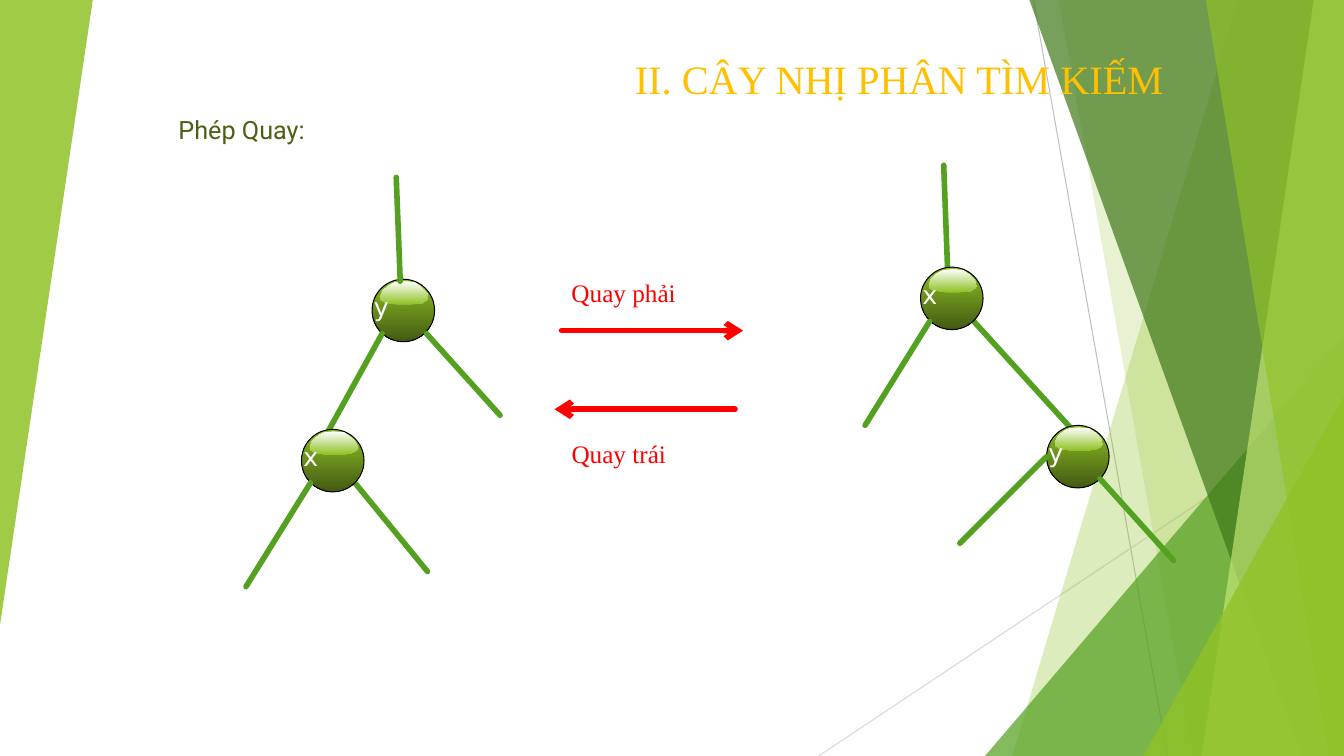
from dataclasses import dataclass

import lxml.etree
import pptx
import pptx.dml.color
import pptx.enum.shapes
import pptx.enum.text
import pptx.oxml.ns
import pptx.presentation
import pptx.shapes.autoshape
import pptx.shapes.base
import pptx.shapes.connector
import pptx.slide
import pptx.text.text
import pptx.util

Inches = pptx.util.Inches
Point = tuple[float, float]


@dataclass(frozen=True)
class Theme:
    lime: str = "90C226"
    green: str = "54A021"
    forest: str = "3F7819"
    pale: str = "C0E474"
    olive: str = "486113"
    sphere_dark: str = "435A12"
    gold: str = "FFC000"
    red: str = "FF0000"
    white: str = "FFFFFF"
    black: str = "000000"
    serif: str = "Times New Roman"
    sans: str = "Roboto"
    node_font: str = "DejaVu Sans"
    title_size: float = 28.8
    text_size: float = 18
    stroke: float = 4
    hairline: float = 0.75


THEME = Theme()
WIDTH, HEIGHT = 13.33, 7.5
NODE_SIZE = 0.62
GLOSS_OFFSET = (0.08, 0.02)
GLOSS = [(0.47, 0.13), (0.48, 0.17), (0.46, 0.19), (0.41, 0.22), (0.3, 0.23), (0.17, 0.23),
         (0.05, 0.21), (0, 0.18), (0, 0.16), (0.03, 0.09), (0.09, 0.04), (0.15, 0.01),
         (0.24, 0), (0.34, 0.01), (0.41, 0.06), (0.45, 0.1)]


@dataclass(frozen=True)
class Line:
    start: Point
    end: Point
    color: str = THEME.green
    width: float = THEME.stroke
    arrow: bool = False


@dataclass(frozen=True)
class Node:
    name: str
    left: float
    top: float


@dataclass(frozen=True)
class Band:
    """Facet with a slanted left edge that fills the slide to the right."""
    top_x: float
    bottom_x: float
    color: str
    opacity: int


@dataclass(frozen=True)
class Corner:
    left: float
    top: float
    width: float
    height: float
    color: str
    opacity: int
    rotation: int = 0


@dataclass(frozen=True)
class Label:
    text: str
    left: float
    top: float
    width: float
    height: float
    font: str = THEME.serif
    color: str = THEME.red


# Background facets, from back to front
BACKGROUND = [
    Line((10.25, 0), (11.58, HEIGHT), "BFBFBF", THEME.hairline),
    Line((WIDTH, 4.03), (8.12, HEIGHT), "D9D9D9", THEME.hairline),
    Band(12.28, 10.04, THEME.lime, 30),
    Band(10.5, 11.83, THEME.lime, 20),
    Corner(9.77, 3.33, 3.56, 4.17, THEME.green, 72),
    Band(10.21, 12.91, THEME.forest, 70),
    Band(13.03, 11.92, THEME.pale, 70),
    Band(11.96, 13.18, THEME.lime, 65),
    Corner(11.34, 3.93, 1.99, 3.57, THEME.lime, 80),
    Corner(0, 0, 0.92, 6.2, THEME.lime, 85, 180),
]

# Trees before and after rotation, and the arrows between them
DIAGRAM = [
    Line((9.66, 3.19), (10.65, 4.28)),
    Node("y", 10.38, 4.22),
    Line((10.91, 4.75), (11.64, 5.56)),
    Line((9.36, 1.64), (9.4, 2.72)),
    Line((10.38, 4.53), (9.52, 5.39)),
    Node("x", 9.13, 2.65),
    Line((9.22, 3.19), (8.58, 4.22)),
    Line((5.57, 3.28), (7.37, 3.28), THEME.red, arrow=True),
    Label("Quay trái", 5.57, 4.3, 1.72, 0.4),
    Line((7.29, 4.06), (5.5, 4.06), THEME.red, arrow=True),
    Node("y", 3.69, 2.77),
    Line((4.23, 3.31), (4.96, 4.12)),
    Line((3.79, 3.31), (3.26, 4.27)),
    Line((3.93, 1.76), (3.97, 2.79)),
    Line((3.52, 4.79), (4.24, 5.67)),
    Node("x", 2.99, 4.26),
    Line((3.08, 4.79), (2.44, 5.82)),
    Label("Quay phải", 5.57, 2.7, 2.34, 0.4),
]


def rgb(value: str) -> pptx.dml.color.RGBColor:
    return pptx.dml.color.RGBColor.from_string(value)


def add_child(parent: lxml.etree._Element, tag: str, **attributes: str) -> None:
    lxml.etree.SubElement(parent, pptx.oxml.ns.qn(tag), attributes)


def fill_solid(shape: pptx.shapes.autoshape.Shape, color: str, opacity: int) -> None:
    shape.shadow.inherit = False
    shape.line.fill.background()
    shape.fill.solid()
    shape.fill.fore_color.rgb = rgb(color)
    color_element = next(shape.element.spPr.iter(pptx.oxml.ns.qn("a:srgbClr")))
    add_child(color_element, "a:alpha", val=str(opacity * 1000))


def fill_gradient(shape: pptx.shapes.autoshape.Shape, top: str, bottom: str) -> None:
    shape.shadow.inherit = False
    shape.fill.gradient()
    shape.fill.gradient_angle = 270
    for stop, color in zip(shape.fill.gradient_stops, (top, bottom)):
        stop.color.rgb = rgb(color)


def add_outline(slide: pptx.slide.Slide, points: list[Point]) -> pptx.shapes.autoshape.Shape:
    corners = [(Inches(x), Inches(y)) for x, y in points]
    builder = slide.shapes.build_freeform(*corners[0])
    builder.add_line_segments(corners[1:], close=True)
    return builder.convert_to_shape()


def set_font(paragraph: pptx.text.text._Paragraph, name: str, size: float, color: str) -> None:
    paragraph.font.name = name
    paragraph.font.size = pptx.util.Pt(size)
    paragraph.font.color.rgb = rgb(color)


def draw_line(slide: pptx.slide.Slide, line: Line) -> None:
    ends = [Inches(value) for value in (*line.start, *line.end)]
    connector = slide.shapes.add_connector(pptx.enum.shapes.MSO_CONNECTOR.STRAIGHT, *ends)
    connector.line.color.rgb = rgb(line.color)
    connector.line.width = pptx.util.Pt(line.width)
    outline = connector.line._get_or_add_ln()
    if line.width == THEME.stroke:
        outline.set("cap", "rnd")
    if line.arrow:
        add_child(outline, "a:tailEnd", type="arrow")
    add_child(connector.element.spPr, "a:effectLst")


def draw_label(slide: pptx.slide.Slide, label: Label) -> None:
    bounds = [Inches(value) for value in (label.left, label.top, label.width, label.height)]
    frame = slide.shapes.add_textbox(*bounds).text_frame
    frame.word_wrap = True
    frame.auto_size = pptx.enum.text.MSO_AUTO_SIZE.SHAPE_TO_FIT_TEXT
    frame.text = label.text
    set_font(frame.paragraphs[0], label.font, THEME.text_size, label.color)


def draw_node(slide: pptx.slide.Slide, node: Node) -> None:
    sphere = slide.shapes.add_shape(
        pptx.enum.shapes.MSO_SHAPE.OVAL, Inches(node.left), Inches(node.top),
        Inches(NODE_SIZE), Inches(NODE_SIZE))
    fill_gradient(sphere, THEME.lime, THEME.sphere_dark)
    sphere.line.color.rgb = rgb(THEME.black)
    sphere.line.width = pptx.util.Pt(THEME.hairline)
    left, top = node.left + GLOSS_OFFSET[0], node.top + GLOSS_OFFSET[1]
    gloss = add_outline(slide, [(left + x, top + y) for x, y in GLOSS])
    fill_gradient(gloss, THEME.white, THEME.lime)
    gloss.line.fill.background()
    draw_label(slide, Label(node.name, node.left - 0.08, node.top + 0.07, 0.7, 0.44,
                            THEME.node_font, THEME.white))


def draw_band(slide: pptx.slide.Slide, band: Band) -> None:
    facet = add_outline(slide, [(band.top_x, 0), (WIDTH, 0), (WIDTH, HEIGHT),
                                (band.bottom_x, HEIGHT)])
    fill_solid(facet, band.color, band.opacity)


def draw_corner(slide: pptx.slide.Slide, corner: Corner) -> None:
    bounds = [Inches(value) for value in (corner.left, corner.top, corner.width, corner.height)]
    triangle = slide.shapes.add_shape(pptx.enum.shapes.MSO_SHAPE.ISOSCELES_TRIANGLE, *bounds)
    triangle.adjustments[0] = 1
    triangle.rotation = corner.rotation
    fill_solid(triangle, corner.color, corner.opacity)


DRAWERS = {Line: draw_line, Label: draw_label, Node: draw_node, Band: draw_band,
           Corner: draw_corner}


def fill_placeholder(shape: pptx.shapes.base.BaseShape, label: Label, size: float,
                     alignment: pptx.enum.text.PP_ALIGN,
                     anchor: pptx.enum.text.MSO_ANCHOR) -> None:
    shape.left, shape.top = Inches(label.left), Inches(label.top)
    shape.width, shape.height = Inches(label.width), Inches(label.height)
    frame = shape.text_frame
    frame.text = label.text
    frame.word_wrap = True
    frame.auto_size = pptx.enum.text.MSO_AUTO_SIZE.NONE
    frame.vertical_anchor = anchor
    paragraph = frame.paragraphs[0]
    paragraph.alignment = alignment
    paragraph.space_before = pptx.util.Pt(0)
    set_font(paragraph, label.font, size, label.color)
    shape.element.getparent().append(shape.element)  # bring in front of the facets


def main() -> None:
    presentation = pptx.Presentation()
    presentation.slide_width, presentation.slide_height = Inches(WIDTH), Inches(HEIGHT)
    slide = presentation.slides.add_slide(presentation.slide_layouts[0])
    for part in BACKGROUND:
        DRAWERS[type(part)](slide, part)

    # Title and subtitle
    align, anchor = pptx.enum.text.PP_ALIGN, pptx.enum.text.MSO_ANCHOR
    title = Label("II. CÂY NHỊ PHÂN TÌM KIẾM", 1.64, 0.61, 10, 0.46, color=THEME.gold)
    subtitle = Label("Phép Quay:", 1.67, 1.08, 10, 5.19, THEME.sans, THEME.olive)
    fill_placeholder(slide.shapes.title, title, THEME.title_size, align.RIGHT, anchor.BOTTOM)
    fill_placeholder(slide.placeholders[1], subtitle, THEME.text_size, align.LEFT, anchor.TOP)

    for part in DIAGRAM:
        DRAWERS[type(part)](slide, part)
    presentation.save("out.pptx")


if __name__ == "__main__":
    main()
